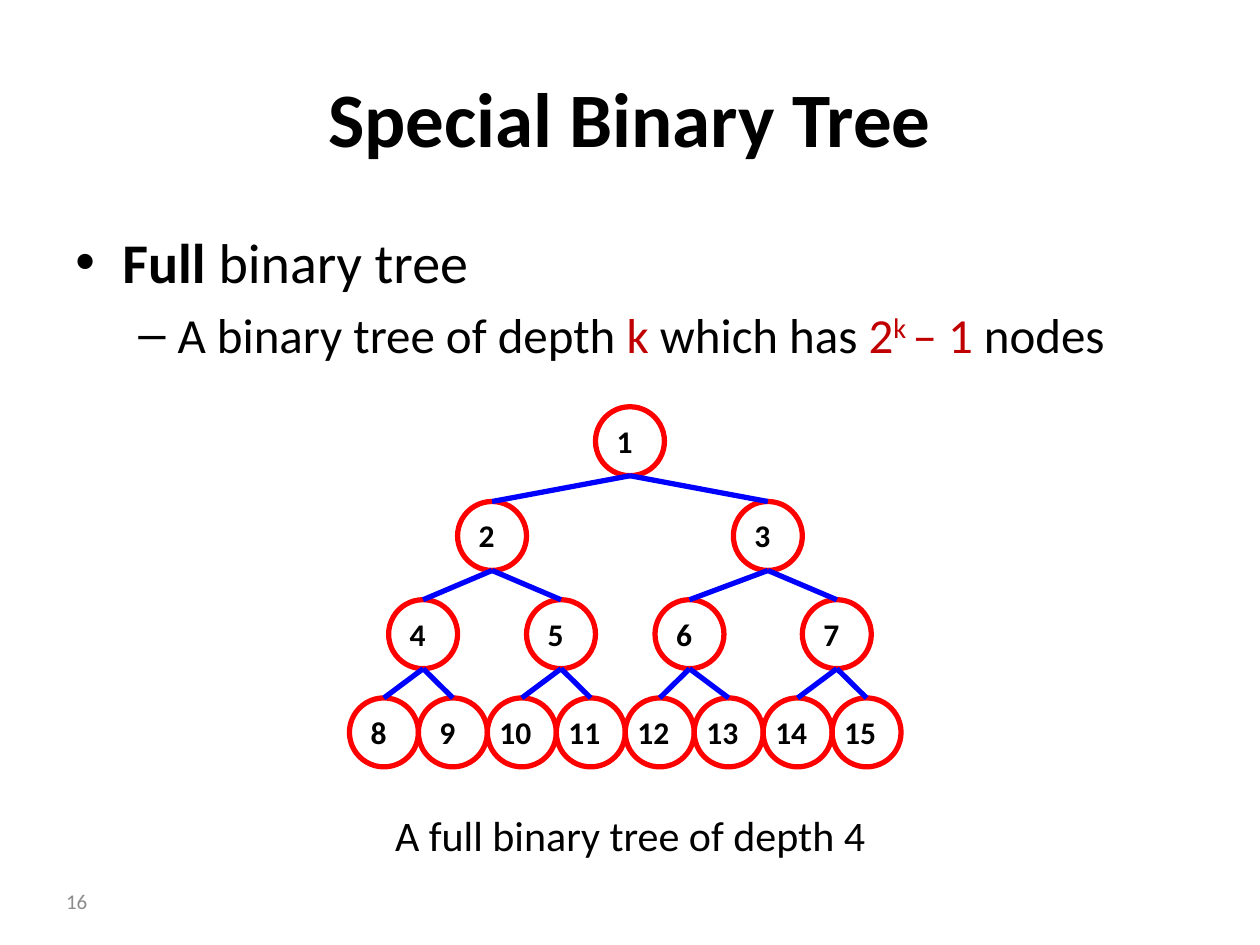
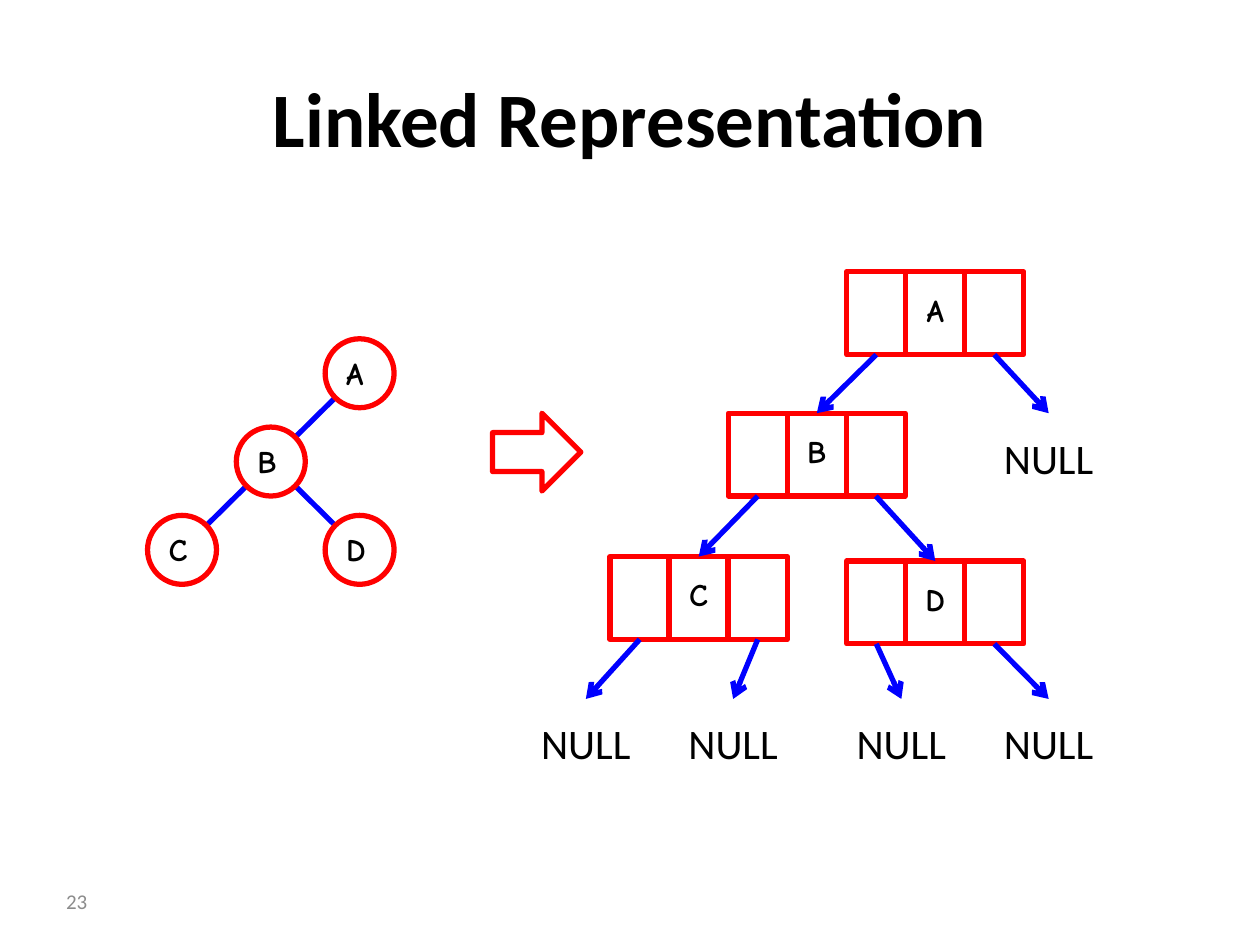
"""Build two lecture slides on binary trees and their linked representation."""
from dataclasses import dataclass, replace
from math import sqrt

from lxml.etree import SubElement
from pptx import Presentation
from pptx.dml.color import RGBColor
from pptx.enum.shapes import MSO_CONNECTOR as Connector, MSO_SHAPE as Preset
from pptx.enum.text import MSO_ANCHOR as Anchor, PP_ALIGN as Align
from pptx.oxml.ns import qn
from pptx.util import Cm, Pt

BLACK, WHITE, GREY = "000000", "FFFFFF", "8C8C8C"
RED, BLUE, DARK_RED = "FF0000", "0000FF", "C00000"
LINE_WIDTH = Pt(3)
NODE_SIZE = 1.39
CELL_WIDTH, CELL_HEIGHT = 1.19, 1.67
NULL_WIDTH, NULL_HEIGHT = 2.6, 1.8
TOP, BOTTOM = 0, 2
ROOMY, STANDARD = (0.25, 0.38), (0.25, 0.13)


@dataclass(frozen=True)
class Style:
    size: int
    bold: bool = False
    colour: str = BLACK
    font: str = "Calibri"
    raised: bool = False


@dataclass(frozen=True)
class Area:
    left: float
    top: float
    width: float
    height: float

    def lengths(self) -> tuple:
        return Cm(self.left), Cm(self.top), Cm(self.width), Cm(self.height)


@dataclass(frozen=True)
class Node:
    label: str
    x: float
    top: float

    @property
    def y(self) -> float:
        return self.top + NODE_SIZE / 2


@dataclass(frozen=True)
class Record:
    label: str
    left: float
    top: float


@dataclass(frozen=True)
class Bullet:
    mark: str
    margin: float
    hanging: float
    space: float
    runs: tuple


TITLE = Style(44, bold=True)
NUMBER = Style(12, colour=GREY)
CAPTION = Style(24)
DIGIT = Style(18, bold=True)
LETTER = replace(DIGIT, font="Comic Neue")
POINT, DETAIL = Style(32), Style(28)
FORMULA = replace(DETAIL, colour=DARK_RED)

BULLETS = (
    Bullet("•", 0.95, 0.95, 0, (
        ("Full ", replace(POINT, bold=True)), ("binary tree", POINT))),
    Bullet("–", 2.06, 0.79, 5.6, (
        ("A binary tree of depth ", DETAIL), ("k ", FORMULA),
        ("which has ", DETAIL), ("2", FORMULA),
        ("k ", replace(FORMULA, raised=True)), ("– 1 ", FORMULA),
        ("nodes", DETAIL))),
)
TREE_LEVELS = (
    (8.2, (12.7,)),
    (10.11, (9.92, 15.48)),
    (12.09, (8.53, 11.31, 13.9, 16.87)),
    (14.07, tuple(7.74 + 1.39 * leaf for leaf in range(8))),
)
LETTER_NODES = (Node("A", 7.25, 6.83), Node("B", 5.46, 8.61),
                Node("C", 3.67, 10.39), Node("D", 7.25, 10.39))
LETTER_EDGES = ("AB", "BC", "BD")
RECORDS = (Record("A", 17.07, 5.48), Record("B", 14.68, 8.33),
           Record("C", 12.3, 11.22), Record("D", 17.07, 11.31))
RECORD_LINKS = (("A", 0, "B"), ("B", 0, "C"), ("B", 2, "D"))
NULL_LINKS = (("A", 2, 21.14, 8.33), ("C", 0, 11.81, 14.09),
              ("C", 2, 14.78, 14.09), ("D", 0, 18.17, 14.09),
              ("D", 2, 21.14, 14.09))


def rgb(colour: str) -> RGBColor:
    """Turn a hex string into a colour."""
    return RGBColor.from_string(colour)


def add_run(para, text: str, style: Style) -> None:
    """Add one styled run to a paragraph."""
    span = para.add_run()
    span.text = text
    font = span.font
    font.name, font.size, font.bold = style.font, Pt(style.size), style.bold
    font.color.rgb = rgb(style.colour)
    if style.raised:
        span._r.get_or_add_rPr().set("baseline", "30000")


def prepare_frame(shape, insets: tuple, anchor=Anchor.TOP):
    """Set wrapping, insets and anchor, and return the text frame."""
    frame = shape.text_frame
    frame.word_wrap = True
    frame.vertical_anchor = anchor
    frame.margin_left = frame.margin_right = Cm(insets[0])
    frame.margin_top = frame.margin_bottom = Cm(insets[1])
    return frame


def write(shape, text: str, style: Style, align=Align.CENTER,
          insets: tuple = ROOMY, anchor=Anchor.TOP) -> None:
    """Put a single line of text in a shape."""
    para = prepare_frame(shape, insets, anchor).paragraphs[0]
    para.alignment = align
    add_run(para, text, style)


def add_text(page, area: Area, text: str, style: Style, **layout):
    """Add a text box with one line of text."""
    box = page.shapes.add_textbox(*area.lengths())
    write(box, text, style, **layout)
    return box


def add_outline(page, preset, area: Area):
    """Add an unfilled shape with a red outline."""
    shape = page.shapes.add_shape(preset, *area.lengths())
    shape.shadow.inherit = False
    shape.fill.background()
    shape.line.color.rgb = rgb(RED)
    shape.line.width = LINE_WIDTH
    return shape


def add_line(page, start: tuple = (0, 0), end: tuple = (0, 0), arrow: bool = False):
    """Add a straight blue connector, with an arrowhead if wanted."""
    line = page.shapes.add_connector(
        Connector.STRAIGHT, *(Cm(value) for value in start + end))
    line.line.color.rgb = rgb(BLUE)
    line.line.width = LINE_WIDTH
    if arrow:
        SubElement(line.line._get_or_add_ln(), qn("a:tailEnd"), type="arrow")
    SubElement(line._element.spPr, qn("a:effectLst"))
    return line


def add_node(page, node: Node, style: Style):
    """Add a tree node as a circle and its label."""
    circle = add_outline(page, Preset.OVAL, Area(
        node.x - NODE_SIZE / 2, node.top, NODE_SIZE, NODE_SIZE))
    shift, width = (0.52, 1.0) if len(node.label) == 1 else (0.7, 1.57)
    add_text(page, Area(node.x - shift, node.top - 0.08, width, 1.68),
             node.label, style, align=Align.LEFT)
    return circle


def add_page(deck, title: str, number: int):
    """Add a slide with its title and number."""
    page = deck.slides.add_slide(deck.slide_layouts[5])
    heading = page.shapes.title
    heading.left, heading.top, heading.width, heading.height = Area(
        1.27, 0.76, 22.86, 3.18).lengths()
    write(heading, title, TITLE, insets=STANDARD, anchor=Anchor.MIDDLE)
    add_text(page, Area(0, 17.65, 2.01, 1.02), str(number), NUMBER,
             align=Align.RIGHT, insets=STANDARD, anchor=Anchor.MIDDLE)
    return page


def add_bullets(page, area: Area) -> None:
    """Add the bulleted definition of a full tree."""
    frame = prepare_frame(page.shapes.add_textbox(*area.lengths()), STANDARD)
    for index, bullet in enumerate(BULLETS):
        para = frame.add_paragraph() if index else frame.paragraphs[0]
        para.space_before = Pt(bullet.space)
        props = para._p.get_or_add_pPr()
        props.set("marL", str(Cm(bullet.margin)))
        props.set("indent", str(-Cm(bullet.hanging)))
        props.set("lvl", str(index))
        SubElement(SubElement(props, qn("a:buClr")), qn("a:srgbClr"), val=BLACK)
        SubElement(props, qn("a:buFont"), typeface="Arial")
        SubElement(props, qn("a:buChar"), char=bullet.mark)
        for text, style in bullet.runs:
            add_run(para, text, style)


def add_full_tree(page) -> None:
    """Draw the numbered tree, joining each node to its parent."""
    places = [(x, top) for top, centres in TREE_LEVELS for x in centres]
    nodes = [Node(str(number), *place) for number, place in enumerate(places, 1)]
    circles = [add_node(page, node, DIGIT) for node in nodes]
    for index in range(1, len(nodes)):
        parent = nodes[(index - 1) // 2]
        edge = add_line(page, (parent.x, parent.top + NODE_SIZE),
                        (nodes[index].x, nodes[index].top))
        edge.end_connect(circles[index], TOP)


def add_caption(page, area: Area, text: str) -> None:
    """Add a caption on a half-transparent white panel."""
    panel = page.shapes.add_shape(Preset.RECTANGLE, *area.lengths())
    panel.shadow.inherit = False
    panel.line.fill.background()
    panel.fill.solid()
    panel.fill.fore_color.rgb = rgb(WHITE)
    tint = panel._element.spPr.find(qn("a:solidFill")).find(qn("a:srgbClr"))
    SubElement(tint, qn("a:alpha"), val="50000")
    write(panel, text, CAPTION)


def add_letter_tree(page) -> None:
    """Draw the lettered tree with edges between circle rims."""
    nodes = {node.label: node for node in LETTER_NODES}
    reach = NODE_SIZE / 2 / sqrt(2)
    for parent, child in LETTER_EDGES:
        start, end = nodes[parent], nodes[child]
        side = reach if end.x > start.x else -reach
        add_line(page, (start.x + side, start.y + reach),
                 (end.x - side, end.y - reach))
    for node in LETTER_NODES:
        add_node(page, node, LETTER)


def add_record(page, record: Record) -> list:
    """Draw a record of three cells with its label in the middle one."""
    cells = [add_outline(page, Preset.RECTANGLE, Area(
        record.left + column * CELL_WIDTH, record.top, CELL_WIDTH, CELL_HEIGHT))
        for column in range(3)]
    write(cells[1], record.label, LETTER)
    return cells


def link(page, cell, target) -> None:
    """Point an arrow from the bottom of a cell to the top of a target."""
    arrow = add_line(page, arrow=True)
    arrow.begin_connect(cell, BOTTOM)
    arrow.end_connect(target, TOP)


def add_linked_records(page) -> None:
    """Draw the records, the links between them and the NULL ends."""
    cells = {record.label: add_record(page, record) for record in RECORDS}
    for source, column, target in RECORD_LINKS:
        link(page, cells[source][column], cells[target][1])
    for source, column, x, top in NULL_LINKS:
        box = add_text(page, Area(x - NULL_WIDTH / 2, top, NULL_WIDTH, NULL_HEIGHT),
                       "NULL", CAPTION)
        link(page, cells[source][column], box)


def main() -> None:
    """Build and save the deck."""
    deck = Presentation()
    deck.slide_width, deck.slide_height = Cm(25.4), Cm(19.05)
    page = add_page(deck, "Special Binary Tree", 16)
    add_bullets(page, Area(1.27, 4.45, 22.86, 12.57))
    add_full_tree(page)
    add_caption(page, Area(7.65, 15.93, 10.11, 1.8), "A full binary tree of depth 4")
    page = add_page(deck, "Linked Representation", 23)
    add_letter_tree(page)
    add_linked_records(page)
    add_outline(page, Preset.RIGHT_ARROW, Area(9.93, 8.33, 1.78, 1.57))
    deck.save("out.pptx")


if __name__ == "__main__":
    main()
